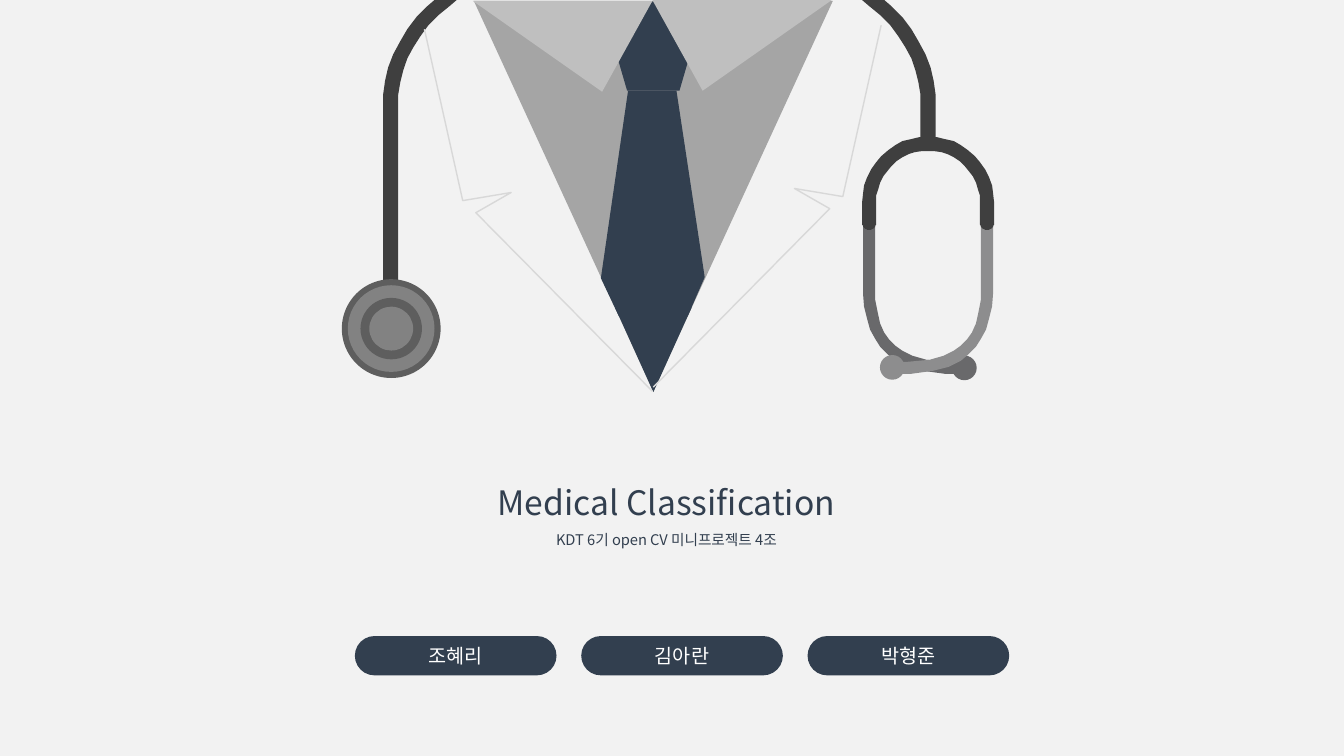
from math import cos, radians, sin

from lxml.etree import SubElement
from pptx import Presentation
from pptx.dml.color import RGBColor
from pptx.enum.shapes import MSO_SHAPE
from pptx.enum.text import MSO_ANCHOR, PP_ALIGN
from pptx.oxml.ns import qn
from pptx.util import Pt

PX = 9144  # EMU per px, 100 px to the inch
FONT = "Noto Sans CJK KR"
PAPER = RGBColor(0xF2, 0xF2, 0xF2)
WHITE = RGBColor(0xFF, 0xFF, 0xFF)
NAVY = RGBColor(0x32, 0x3F, 0x4F)
SHIRT = RGBColor(0xA5, 0xA5, 0xA5)
COLLAR = RGBColor(0xBF, 0xBF, 0xBF)
SEAM = RGBColor(0xD8, 0xD8, 0xD8)
RUBBER = RGBColor(0x3F, 0x3F, 0x3F)
RIM = RGBColor(0x5E, 0x5E, 0x5E)
DISC = RGBColor(0x82, 0x82, 0x82)
STEEL_DARK = RGBColor(0x69, 0x69, 0x6B)
STEEL_LIGHT = RGBColor(0x8D, 0x8D, 0x8E)

# Content
TITLE = [("Medical Classification", 24), ("KDT 6기 open CV 미니프로젝트 4조", 10.5)]
MEMBERS = ["조혜리", "김아란", "박형준"]

# Outlines in px; the other half of each pair is mirrored
TIE = [(623, 90), (671, 90), (699, 275), (682, 314), (614, 314), (596, 276)]
TUBE_OUTER = [(380, 100), (380, 94), (382, 80), (385, 67), (390, 54), (397, 41),
              (404, 29), (413, 17), (424, 6), (431, 0)]
TUBE_INNER = [(453, 0), (446, 6), (435, 15), (425, 25), (417, 36), (410, 47),
              (404, 58), (400, 70), (397, 82), (395, 94), (395, 100)]
EAR_TUBE = [(952, 371), (938, 371), (916, 368), (900, 364), (888, 358), (881, 352),
            (873, 344), (868, 336), (863, 327), (860, 316), (857, 304), (856, 291),
            (856, 221), (868, 221), (868, 297), (871, 312), (873, 321), (877, 330),
            (882, 337), (888, 343), (895, 348), (905, 353), (919, 357), (941, 359),
            (956, 359), (956, 371)]
LAPEL = [(421, 29), (459, 199), (507, 191), (472, 211), (647, 388)]
CHEST_PIECE = [(49, RIM), (43, DISC), (30.5, RIM), (21.75, DISC)]  # radius, colour

prs = Presentation()
prs.slide_width, prs.slide_height = 1333 * PX, 750 * PX
s = prs.slides.add_slide(prs.slide_layouts[6])
s.background.fill.solid()
s.background.fill.fore_color.rgb = PAPER


def paint(sp, color):
    sp.shadow.inherit = False
    sp.fill.solid()
    sp.fill.fore_color.rgb = color
    sp.line.fill.background()
    return sp


def preset(kind, x, y, w, h, color, adj=None, turn=0):
    sp = s.shapes.add_shape(kind, *(round(v * PX) for v in (x, y, w, h)))
    if adj is not None:
        sp.adjustments[0] = adj
    sp.rotation = turn
    return paint(sp, color)


def circle(cx, cy, r, color):
    return preset(MSO_SHAPE.OVAL, cx - r, cy - r, 2 * r, 2 * r, color)


def outline(points, close=True):
    fb = s.shapes.build_freeform(*points[0], scale=PX)
    fb.add_line_segments(points[1:], close=close)
    return fb.convert_to_shape()


def seam(points):
    sp = outline(points, close=False)
    sp.shadow.inherit = False
    sp.fill.background()
    sp.line.color.rgb = SEAM
    sp.line.width = Pt(1)


def mirror(points, total, dy=0):
    return [(total - x, y + dy) for x, y in points]


def arc(cx, cy, r, start, end, steps=24):
    angles = [radians(start + (end - start) * i / steps) for i in range(steps + 1)]
    return [(cx + r * cos(a), cy + r * sin(a)) for a in angles]


def write(p, text, size, color, spacing=None):
    p.alignment = PP_ALIGN.CENTER
    if spacing:
        p.line_spacing = spacing
    r = p.add_run()
    r.text = text
    r.font.size = Pt(size)
    r.font.name = FONT
    r.font.color.rgb = color
    SubElement(r.font._element, qn("a:ea")).set("typeface", FONT)


# Shirt, tie and left collar
preset(MSO_SHAPE.ISOSCELES_TRIANGLE, 470, 1, 356, 387, SHIRT, 0.5, 180)
preset(MSO_SHAPE.REGULAR_PENTAGON, 606, 1, 84, 89, NAVY)
paint(outline(TIE), NAVY)
preset(MSO_SHAPE.ISOSCELES_TRIANGLE, 469, 1, 178, 90, COLLAR, 0.28, 180)

# Stethoscope tubes and chest piece
tube = TUBE_OUTER + TUBE_INNER
paint(outline(tube + [(395, 351), (380, 351)]), RUBBER)
paint(outline(mirror(tube + [(395, 147), (380, 147)], 1308)), RUBBER)
for radius, color in CHEST_PIECE:
    circle(388, 326, radius, color)

# Ear tubes with their tips
paint(outline(EAR_TUBE), STEEL_DARK)
circle(956.5, 365, 12.25, STEEL_DARK)
paint(outline(mirror(EAR_TUBE, 1841)), STEEL_LIGHT)
circle(885, 364.5, 12.25, STEEL_LIGHT)

# Yoke: two half circles joined by rounded ends
yoke = (arc(920.5, 201, 65.5, 180, 360) + arc(979, 221, 7, 0, 180)
        + arc(920.5, 201, 51.5, 360, 180) + arc(862, 221, 7, 0, 180))
paint(outline(yoke), RUBBER)

# Right collar, tie tip and lapel seams
preset(MSO_SHAPE.ISOSCELES_TRIANGLE, 647, 0, 178, 90, COLLAR, 0.72, 180)
preset(MSO_SHAPE.ISOSCELES_TRIANGLE, 610, 305, 76, 84, NAVY, 0.5, 180)
seam(LAPEL)
seam(mirror(LAPEL, 1295, -4))

# Title block
tf = s.shapes.add_textbox(326 * PX, 453 * PX, 670 * PX, 117 * PX).text_frame
tf.word_wrap = True
for i, (text, size) in enumerate(TITLE):
    p = tf.add_paragraph() if i else tf.paragraphs[0]
    write(p, text, size, NAVY, spacing=1.5)

# Member pills, spread evenly over the row
ROW_X, ROW_W, PILL_W = 352, 649, 200
pitch = (ROW_W - PILL_W) / (len(MEMBERS) - 1)
for i, name in enumerate(MEMBERS):
    pill = preset(MSO_SHAPE.ROUNDED_RECTANGLE, ROW_X + i * pitch, 631, PILL_W, 39, NAVY, 0.5)
    pill.text_frame.vertical_anchor = MSO_ANCHOR.MIDDLE
    write(pill.text_frame.paragraphs[0], name, 14, WHITE)

prs.save("out.pptx")
